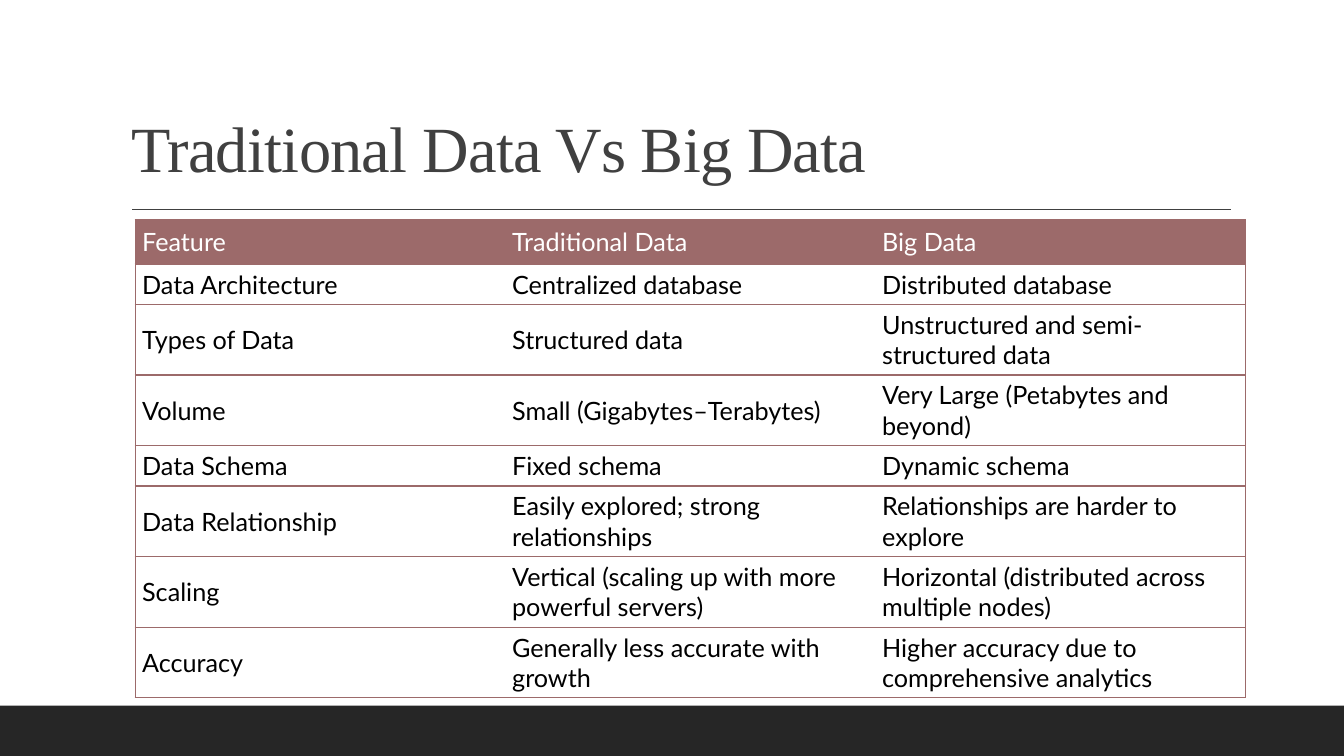
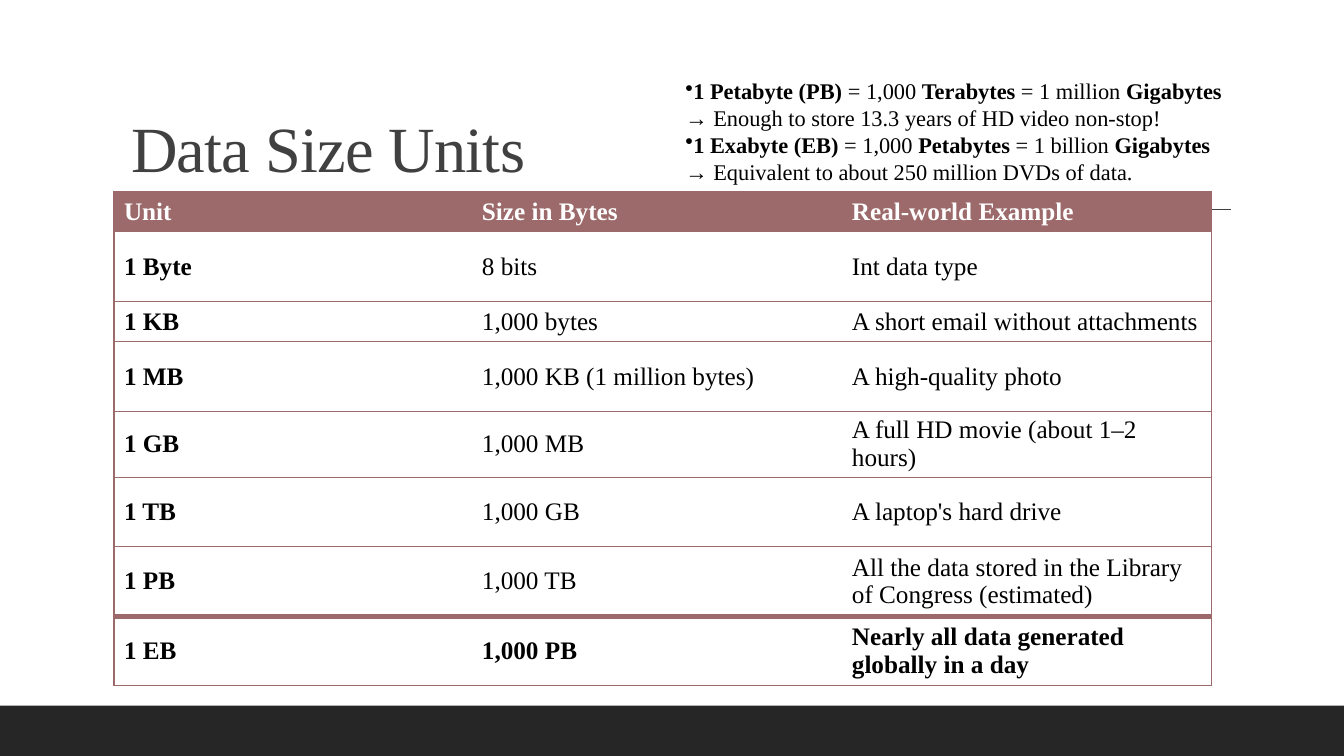
from lxml import etree
from pptx import Presentation, util as u
from pptx.dml.color import RGBColor
from pptx.enum import shapes, text
from pptx.oxml.ns import qn

SERIF, SANS = "Times New Roman", "Lato"
INK, DARK, BLACK, WHITE, ROSE = "404040", "262626", "000000", "FFFFFF", "9C6A6A"
PLAIN_TABLE = "{2D5ABB26-0587-4C30-8999-92F81FD0307C}"


def paint(target, colour):
    """Set a solid colour on a fill, or on the fill of a line."""
    target.solid()
    target.fore_color.rgb = RGBColor.from_string(colour)


def set_font(font, name, size, colour, bold=False):
    font.name, font.size, font.bold = name, u.Pt(size), bold
    font.color.rgb = RGBColor.from_string(colour)


def set_border(cell, side, width):
    """Draw one cell side (L, R, T, B in that order); width 0 hides it."""
    line = etree.SubElement(cell._tc.get_or_add_tcPr(), qn(f"a:ln{side}"), w=str(u.Pt(width)))
    if not width:
        etree.SubElement(line, qn("a:noFill"))
        return
    fill = etree.SubElement(line, qn("a:solidFill"))
    etree.SubElement(fill, qn("a:srgbClr"), val=ROSE)


class Deck:
    """Holds the presentation, its style and the current page."""

    def __init__(self):
        self.deck = Presentation()
        self.deck.slide_width, self.deck.slide_height = u.Inches(13.33), u.Inches(7.5)
        self.page = None

    def new_page(self, title):
        self.page = self.deck.slides.add_slide(self.deck.slide_layouts[5])
        self.band()
        self.rule()
        self.title(title)

    def band(self):
        band = self.page.shapes.add_shape(
            shapes.MSO_SHAPE.RECTANGLE, 0, u.Inches(7), self.deck.slide_width, u.Inches(0.5))
        band.shadow.inherit = False
        paint(band.fill, DARK)
        band.line.fill.background()

    def rule(self):
        rule = self.page.shapes.add_connector(
            shapes.MSO_CONNECTOR.STRAIGHT,
            u.Inches(1.31), u.Inches(2.08), u.Inches(12.21), u.Inches(2.08))
        paint(rule.line.fill, INK)
        rule.line.width = u.Pt(1)
        etree.SubElement(rule._element.spPr, qn("a:effectLst"))

    def title(self, words):
        box = self.page.shapes.title
        box.left, box.top = u.Inches(1.2), u.Inches(0.31)
        box.width, box.height = u.Inches(11), u.Inches(1.59)
        frame = box.text_frame
        frame.text = words
        frame.auto_size = text.MSO_AUTO_SIZE.NONE
        frame.vertical_anchor = text.MSO_ANCHOR.BOTTOM
        para = frame.paragraphs[0]
        para.alignment, para.line_spacing = text.PP_ALIGN.LEFT, 0.9
        span = para.runs[0]
        set_font(span.font, SERIF, 46, INK)
        span.font._element.set("spc", "-50")

    def table(self, left, top, widths, heights, rows, font, side_inset,
              is_bold=lambda row, column: False, last_rule=1):
        """Add a ruled table; last_rule is the line width above its last row."""
        last_row, last_column = len(rows) - 1, len(widths) - 1
        table = self.page.shapes.add_table(
            len(rows), len(widths), u.Inches(left), u.Inches(top),
            u.Inches(sum(widths)), u.Inches(sum(heights))).table
        table._tbl.tblPr.find(qn("a:tableStyleId")).text = PLAIN_TABLE
        for column, width in zip(table.columns, widths):
            column.width = u.Inches(width)
        for r, (row, height) in enumerate(zip(rows, heights)):
            table.rows[r].height = u.Inches(height)
            for c, words in enumerate(row):
                cell = table.cell(r, c)
                cell.text = words
                cell.vertical_anchor = text.MSO_ANCHOR.MIDDLE
                cell.margin_left = cell.margin_right = u.Inches(side_inset)
                set_font(cell.text_frame.paragraphs[0].runs[0].font, font, 18,
                         BLACK if r else WHITE, is_bold(r, c))
                set_border(cell, "L", 1 if c == 0 else 0)
                set_border(cell, "R", 1 if c == last_column else 0)
                set_border(cell, "T", last_rule if r == last_row else 1)
                set_border(cell, "B", last_rule if r == last_row - 1 else 1)
                paint(cell.fill, WHITE if r else ROSE)

    def bullets(self, left, top, width, height, items):
        """Add bullets; each item is (spans, second line), odd spans plain."""
        frame = self.page.shapes.add_textbox(*map(u.Inches, (left, top, width, height))).text_frame
        frame.word_wrap = True
        for i, (spans, second_line) in enumerate(items):
            para = frame.add_paragraph() if i else frame.paragraphs[0]
            etree.SubElement(para._p.get_or_add_pPr(), qn("a:buChar"), char="•")
            for j, words in enumerate(spans):
                self.span(para, words, bold=j % 2 == 0)
            para.add_line_break()
            self.span(para, second_line, bold=False)

    def span(self, para, words, bold):
        span = para.add_run()
        span.text = words
        set_font(span.font, SERIF, 16, BLACK, bold)


COMPARISON = [
    ("Feature", "Traditional Data", "Big Data"),
    ("Data Architecture", "Centralized database", "Distributed database"),
    ("Types of Data", "Structured data", "Unstructured and semi-structured data"),
    ("Volume", "Small (Gigabytes–Terabytes)", "Very Large (Petabytes and beyond)"),
    ("Data Schema", "Fixed schema", "Dynamic schema"),
    ("Data Relationship", "Easily explored; strong relationships",
     "Relationships are harder to explore"),
    ("Scaling", "Vertical (scaling up with more powerful servers)",
     "Horizontal (distributed across multiple nodes)"),
    ("Accuracy", "Generally less accurate with growth",
     "Higher accuracy due to comprehensive analytics"),
]
UNITS = [
    ("Unit", "Size in Bytes", "Real-world Example"),
    ("1 Byte", "8 bits", "Int data type"),
    ("1 KB", "1,000 bytes", "A short email without attachments"),
    ("1 MB", "1,000 KB (1 million bytes)", "A high-quality photo"),
    ("1 GB", "1,000 MB", "A full HD movie (about 1–2 hours)"),
    ("1 TB", "1,000 GB", "A laptop's hard drive"),
    ("1 PB", "1,000 TB", "All the data stored in the Library of Congress (estimated)"),
    ("1 EB", "1,000 PB", "Nearly all data generated globally in a day"),
]
UNIT_FACTS = [
    (("1 Petabyte (PB)", " = 1,000 ", "Terabytes", " = 1 million ", "Gigabytes"),
     "→ Enough to store 13.3 years of HD video non-stop!"),
    (("1 Exabyte (EB)", " = 1,000 ", "Petabytes", " = 1 billion ", "Gigabytes"),
     "→ Equivalent to about 250 million DVDs of data."),
]


def main():
    show = Deck()

    show.new_page("Traditional Data Vs Big Data")
    show.table(1.34, 2.18, [3.67] * 3, [0.44, 0.4, 0.7, 0.7, 0.4, 0.7, 0.7, 0.7],
               COMPARISON, SANS, 0.07)

    show.new_page("Data Size Units")
    show.table(1.13, 1.9, [3.55, 3.67, 3.67], [0.4, 0.69, 0.4, 0.69, 0.65, 0.69, 0.69, 0.69],
               UNITS, SERIF, 0.1, last_rule=4,
               is_bold=lambda row, column: column == 0 or row in (0, len(UNITS) - 1))
    show.bullets(6.7, 0.72, 6.67, 1.18, UNIT_FACTS)

    show.deck.save("out.pptx")


if __name__ == "__main__":
    main()
